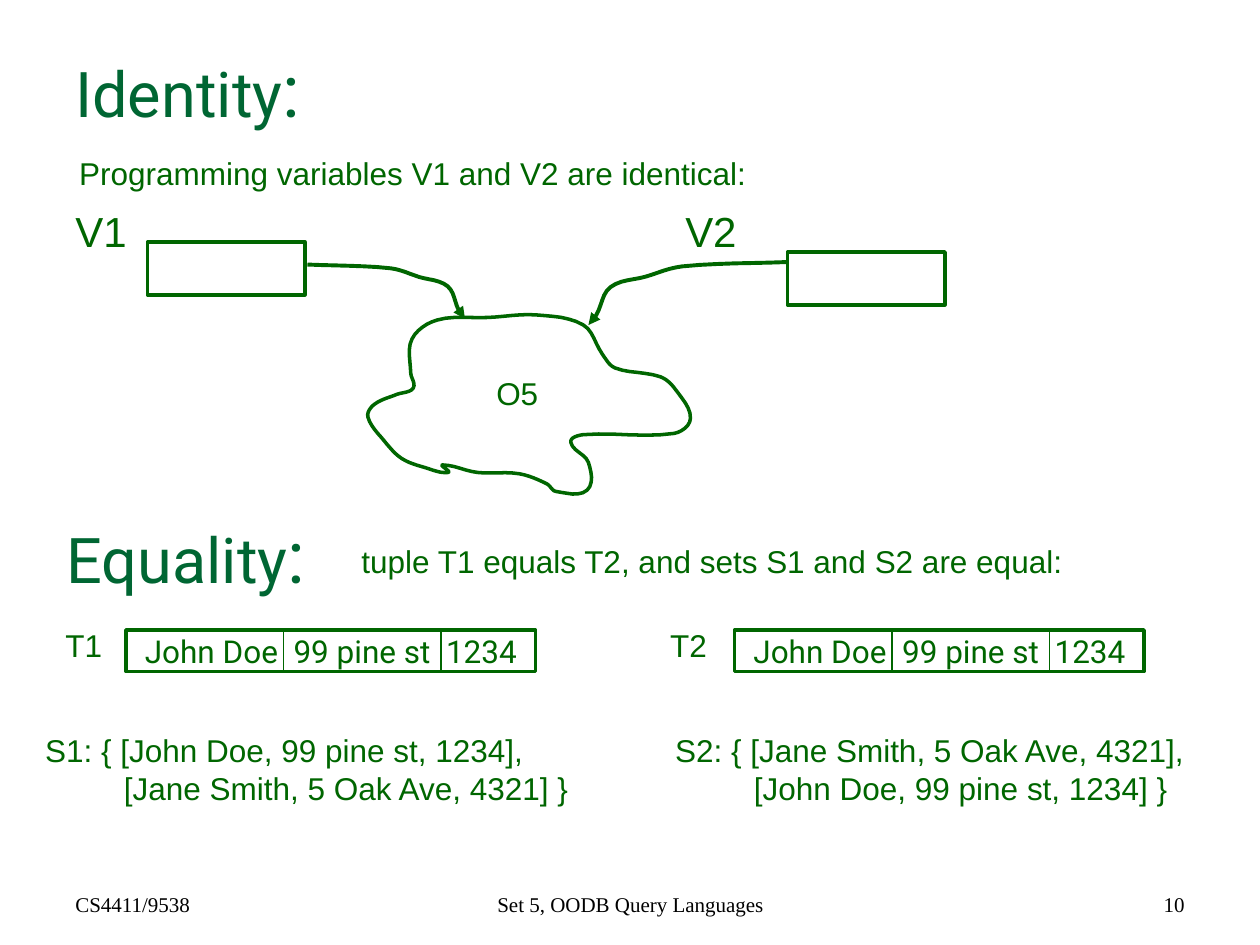
from itertools import chain
from pptx import Presentation
from pptx.util import Cm, Pt
from pptx.dml.color import RGBColor
from pptx.enum.shapes import MSO_SHAPE, MSO_CONNECTOR
from pptx.enum.text import MSO_ANCHOR, MSO_AUTO_SIZE, PP_ALIGN
from pptx.oxml.ns import qn
from lxml.etree import SubElement

COLORS = {"heading": "006633", "ink": "006600", "footer": "000000"}
INCH = 2.54
PATH_UNITS = 1000
CURVE_STEPS = 6

IDENTITY, EQUALITY = "Identity", "Equality"
STATEMENTS = [
    ("Programming variables V1 and V2 are identical:", 0.53, 1.17, 5.55),
    ("O5", 3.84, 2.92, 0.55),
    ("tuple T1 equals T2, and sets S1 and S2 are equal:", 2.77, 4.25, 5.8),
]
VARIABLES = [
    {"name": "V1", "left": 0.5, "box": (1.17, 1.92), "start": (2.44, 2.1), "end": (3.69, 2.53)},
    {"name": "V2", "left": 5.34, "box": (6.25, 2), "start": (6.25, 2.08), "end": (4.67, 2.58)},
]
TUPLES = [
    {"name": "T1", "left": 0.42, "box_left": 1},
    {"name": "T2", "left": 5.22, "box_left": 5.83},
]
TUPLE_FIELDS = ["John Doe", "99 pine st", "1234"]
FIELD_TABS = [1.18, 2.39]
FIELD_DIVIDERS = [1.25, 2.5]
TUPLE_TOP, TUPLE_WIDTH, TUPLE_HEIGHT = 5, 3.25, 0.33
SETS = [
    (0.26, ["S1: { [John Doe, 99 pine st, 1234],", "[Jane Smith, 5 Oak Ave, 4321] }"]),
    (5.26, ["S2: { [Jane Smith, 5 Oak Ave, 4321],", "[John Doe, 99 pine st, 1234] }"]),
]
FOOTERS = [
    ("CS4411/9538", 0.5, 2.33, PP_ALIGN.LEFT),
    ("Set 5, OODB Query Languages", 3.42, 3.17, PP_ALIGN.CENTER),
    ("10", 7.17, 2.33, PP_ALIGN.RIGHT),
]

POINTER_BEND = [(0, 0), (0.53, 0.07), (0.71, 0.23), (0.89, 0.4), (0.96, 0.84), (1, 1)]
OBJECT_OUTLINE = {
    "crown": [(4.26, 2.5), (3.87, 2.52), (3.47, 2.54)],
    "left shoulder": [(3.27, 2.69), (3.26, 2.96), (3.28, 3.08), (3.15, 3.13)],
    "left arm": [(2.97, 3.21), (2.92, 3.31), (3.05, 3.5), (3.19, 3.64)],
    "belly": [(3.37, 3.71), (3.56, 3.75), (3.51, 3.69), (3.79, 3.75), (4.12, 3.76)],
    "foot": [(4.34, 3.84), (4.41, 3.9), (4.66, 3.89), (4.67, 3.67)],
    "notch": [(4.53, 3.51), (4.63, 3.45)],
    "right arm": [(5.35, 3.44), (5.48, 3.32), (5.36, 3.09), (5.24, 2.99)],
    "right shoulder": [(4.88, 2.92), (4.78, 2.81), (4.63, 2.58)],
}

FRAME_FORMAT = {
    "word_wrap": True,
    "auto_size": MSO_AUTO_SIZE.NONE,
    "vertical_anchor": MSO_ANCHOR.TOP,
    "margin_left": Cm(0.25),
    "margin_right": Cm(0.25),
    "margin_top": Cm(0.13),
    "margin_bottom": Cm(0.13),
}


def place(*inches):
    return [Cm(value * INCH) for value in inches]


def set_attributes(target, values):
    for name, value in values.items():
        setattr(target, name, value)


def format_frame(frame, **changes):
    set_attributes(frame, {**FRAME_FORMAT, **changes})


def add_run(paragraph, text, size, font="Arial", color="ink", align=PP_ALIGN.LEFT):
    paragraph.alignment = align
    run = paragraph.add_run()
    run.text = text
    set_attributes(run.font, {"size": Pt(size), "name": font, "bold": False})
    run.font.color.rgb = RGBColor.from_string(COLORS[color])


def add_label(box, lines, size=18, anchor=MSO_ANCHOR.TOP, **run_format):
    frame = slide.shapes.add_textbox(*place(*box)).text_frame
    format_frame(frame, vertical_anchor=anchor)
    for index, line in enumerate(lines):
        paragraph = frame.add_paragraph() if index else frame.paragraphs[0]
        add_run(paragraph, line, size, **run_format)
    return frame


def write_heading(frame, word):
    format_frame(frame)
    for text, size in [(word, 36), (":", 42)]:
        add_run(frame.paragraphs[0], text, size, "Roboto", "heading")


def ink_line(shape, width):
    shape.line.color.rgb = RGBColor.from_string(COLORS["ink"])
    shape.line.width = Pt(width)


def outline(shape, width=2):
    shape.shadow.inherit = False
    shape.fill.background()
    ink_line(shape, width)
    return shape


def add_box(*box):
    return outline(slide.shapes.add_shape(MSO_SHAPE.RECTANGLE, *place(*box)))


def smooth(points, closed):
    knots = [complex(*point) for point in points]
    if closed:
        padded = [knots[-1], *knots, knots[0], knots[1]]
    else:
        padded = [knots[0], *knots, knots[-1]]
    curve = [knots[0]]
    for before, start, end, after in zip(padded, padded[1:], padded[2:], padded[3:]):
        length = abs(end - start)
        leave = (end - before) / abs(end - before) * length
        arrive = (after - start) / abs(after - start) * length
        for step in range(1, CURVE_STEPS + 1):
            t = step / CURVE_STEPS
            ease = t * t * (3 - 2 * t)
            bend = t * (1 - t) * ((1 - t) * leave - t * arrive)
            curve.append(start + (end - start) * ease + bend)
    return [(knot.real * PATH_UNITS, knot.imag * PATH_UNITS) for knot in curve]


def add_curve(points, closed, width):
    first, *rest = smooth(points, closed)
    builder = slide.shapes.build_freeform(*first, scale=Cm(INCH) / PATH_UNITS)
    builder.add_line_segments(rest, close=closed)
    return outline(builder.convert_to_shape(), width)


def add_pointer(start, end):
    (x, y), (end_x, end_y) = start, end
    bend = [(x + (end_x - x) * across, y + (end_y - y) * down) for across, down in POINTER_BEND]
    pointer = add_curve(bend, False, 2.25)
    SubElement(pointer._element.spPr.find(qn("a:ln")), qn("a:tailEnd"), type="triangle")


def add_tuple(left):
    frame = add_box(left, TUPLE_TOP, TUPLE_WIDTH, TUPLE_HEIGHT).text_frame
    format_frame(frame, vertical_anchor=MSO_ANCHOR.MIDDLE, margin_left=Cm(0.38))
    paragraph = frame.paragraphs[0]
    add_run(paragraph, "\t".join(TUPLE_FIELDS), 18, "Roboto")
    tab_list = SubElement(paragraph._p.get_or_add_pPr(), qn("a:tabLst"))
    for tab in FIELD_TABS:
        SubElement(tab_list, qn("a:tab"), pos=str(Cm(tab * INCH)), algn="l")
    for offset in FIELD_DIVIDERS:
        x = left + offset
        divider = slide.shapes.add_connector(
            MSO_CONNECTOR.STRAIGHT, *place(x, TUPLE_TOP, x, TUPLE_TOP + TUPLE_HEIGHT))
        ink_line(divider, 1)
        SubElement(divider._element.spPr, qn("a:effectLst"))


deck = Presentation()
deck.slide_width, deck.slide_height = place(10, 7.5)
slide = deck.slides.add_slide(deck.slide_layouts[5])

title = slide.shapes.title
set_attributes(title, dict(zip(("left", "top", "width", "height"), place(0.5, 0.3, 9, 1.25))))
write_heading(title.text_frame, IDENTITY)
equality = slide.shapes.add_textbox(*place(0.43, 4, 2.25, 0.8))
write_heading(equality.text_frame, EQUALITY)

add_curve(list(chain.from_iterable(OBJECT_OUTLINE.values())), True, 2)
for variable in VARIABLES:
    add_label((variable["left"], 1.58, 0.65, 0.5), [variable["name"]], 24)
    add_box(*variable["box"], 1.25, 0.42)
    add_pointer(variable["start"], variable["end"])

for statement, left, top, width in STATEMENTS:
    add_label((left, top, width, 0.4), [statement])

for record in TUPLES:
    add_label((record["left"], 4.92, 0.55, 0.4), [record["name"]])
    add_tuple(record["box_left"])

for left, members in SETS:
    set_frame = add_label((left, 5.75, 4.44, 0.7), members)
    set_frame.paragraphs[1]._p.get_or_add_pPr().set("marL", str(Cm(1.59)))

for footer, left, width, align in FOOTERS:
    add_label((left, 6.83, width, 0.5), [footer], 12, MSO_ANCHOR.BOTTOM,
              font="Times New Roman", color="footer", align=align)

deck.save("out.pptx")
